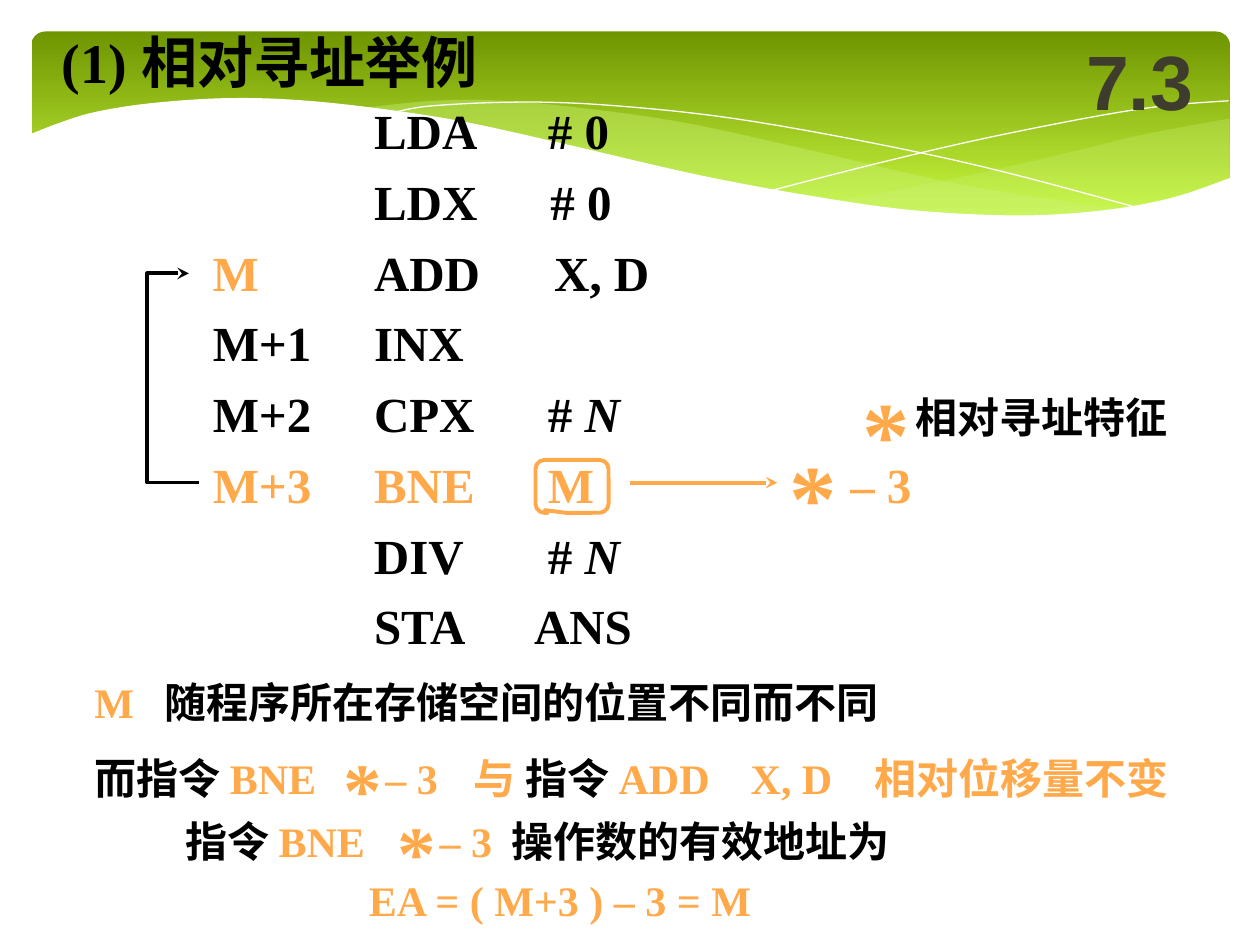
from lxml import etree
from pptx import Presentation
from pptx.dml.color import RGBColor
from pptx.enum.shapes import MSO_CONNECTOR, MSO_SHAPE
from pptx.enum.text import MSO_ANCHOR, MSO_AUTO_SIZE, PP_ALIGN
from pptx.oxml.ns import qn
from pptx.util import Inches, Pt

COLORS = {"black": "000000", "orange": "FFA94A", "white": "FFFFFF", "title": "3E3D2D",
          "dark_green": "6F9500", "lime": "D0FF44", "pale_green": "CAF278"}
SERIF = "Times New Roman"

PROGRAM = [
    ("", [("LDA\t# 0", "black")], 2.09, 1.38),
    ("", [("LDX\t# 0", "black")], 2.09, 1.4),
    ("M", [("ADD\tX, D", "black")], 2.38, 1.43),
    ("M+1", [("INX", "black")], 0.91, 1.38),
    ("M+2", [("CPX\t# ", "black"), ("N", "black", True)], 2.15, 1.38),
    ("M+3", [("BNE\tM", "orange")], 1.95, 1.38),
    ("", [("DIV\t# ", "black"), ("N", "black", True)], 2.16, 1.38),
    ("", [("STA\tANS", "black")], 2.31, 1.27),
]
WAVE_RIGHT = [
    [(9.76, 0.94), (9.06, 1.07), (8.61, 1.18), (7.79, 1.37), (7.06, 1.52), (6.61, 1.6)],
    [(6.61, 1.6), (7.18, 1.67), (7.81, 1.72), (8.35, 1.72), (8.89, 1.66), (9.35, 1.56),
     (9.76, 1.41)],
]
WAVE_MIDDLE = [
    [(8.93, 1.67), (8.07, 1.54), (7.41, 1.42), (6.29, 1.16), (5.41, 0.97), (4.64, 0.86),
     (3.99, 0.8), (3.44, 0.8), (2.86, 0.86)],
    [(2.86, 0.86), (3.62, 0.97), (4.49, 1.16), (5.66, 1.43), (6.5, 1.58), (7.22, 1.68),
     (7.85, 1.72), (8.38, 1.72), (8.93, 1.67)],
]
LINE_FALLING = [[(3.09, 0.9), (3.43, 0.84), (4.16, 0.81), (4.89, 0.84), (5.82, 0.94),
                 (6.95, 1.14), (7.95, 1.36), (9.07, 1.66)]]
LINE_RISING = [[(6.13, 1.51), (6.95, 1.3), (7.76, 1.11), (8.66, 0.93), (9.24, 0.84),
                (9.75, 0.8)]]
WHITE_CUT = [
    [(9.77, 1.41), (9.3, 1.57), (8.75, 1.67), (8.09, 1.71), (7.26, 1.67), (6.47, 1.56),
     (5.55, 1.39), (4.47, 1.14), (3.65, 0.96), (2.92, 0.85), (2.3, 0.79), (1.76, 0.78),
     (1.19, 0.82), (0.75, 0.89), (0.46, 0.98), (0.23, 1.07)],
    [(0.23, 2.24)], [(9.77, 2.24)],
]


def rgb(name):
    """Return the named colour."""
    return RGBColor.from_string(COLORS[name])


def spline(knots, steps=6):
    """Return points of a smooth curve through the knots."""
    ends = [knots[0]] + knots + [knots[-1]]
    pts = [knots[0]]
    for a, b, c, d in zip(ends, ends[1:], ends[2:], ends[3:]):
        for t in (k / steps for k in range(1, steps + 1)):
            pts.append(tuple(
                0.5 * (2 * q + (r - p) * t + (2 * p - 5 * q + 4 * r - v) * t ** 2
                       + (3 * q - p - 3 * r + v) * t ** 3)
                for p, q, r, v in zip(a, b, c, d)))
    return pts


def style(sp, fill=None, line=None, width=2.25, alpha=None):
    """Set the fill, outline and opacity of a shape."""
    sp.shadow.inherit = False
    if fill:
        sp.fill.solid()
        sp.fill.fore_color.rgb = rgb(fill)
    else:
        sp.fill.background()
    if alpha:
        clr = sp._element.spPr.find(qn("a:solidFill"))[0]
        etree.SubElement(clr, qn("a:alpha"), val=str(alpha * 1000))
    if line:
        sp.line.color.rgb = rgb(line)
        sp.line.width = Pt(width)
    else:
        sp.line.fill.background()


def add_outline(s, pts, closed=False, **look):
    """Draw a freeform through the points."""
    pts = [(Inches(x), Inches(y)) for x, y in pts]
    fb = s.shapes.build_freeform(*pts[0])
    fb.add_line_segments(pts[1:], close=closed)
    sp = fb.convert_to_shape()
    style(sp, **look)
    return sp


def add_curve(s, edges, **look):
    """Draw a freeform from smooth edges."""
    return add_outline(s, [pt for edge in edges for pt in spline(edge)], **look)


def add_arrowhead(sp):
    """Put a stealth arrowhead at the end of a line."""
    etree.SubElement(sp.line._get_or_add_ln(), qn("a:tailEnd"), type="stealth")


def set_font(r, size, color, name=SERIF, italic=None):
    """Format a run in bold."""
    f = r.font
    f.name, f.size, f.bold, f.italic = name, Pt(size), True, italic
    f.color.rgb = rgb(color)


def add_text(s, x, y, w, h, runs, size=24, stops=(), before=0, top=0.05, wrap=True):
    """Add a one-paragraph text box with optional tab stops."""
    tf = s.shapes.add_textbox(Inches(x), Inches(y), Inches(w), Inches(h)).text_frame
    tf.word_wrap = wrap
    tf.margin_top, tf.margin_right = Inches(top), 0
    p = tf.paragraphs[0]
    if before:
        p.space_before = Pt(before)
    if stops:
        tabs = etree.SubElement(p._p.get_or_add_pPr(), qn("a:tabLst"))
        for stop in stops:
            etree.SubElement(tabs, qn("a:tab"), pos=str(Inches(stop)), algn="l")
    for text, color, *italic in runs:
        r = p.add_run()
        r.text = text
        set_font(r, size, color, italic=True if italic else None)


def add_star(s, x, y, w, size):
    """Add an asterisk that stands for the program counter."""
    add_text(s, x, y, w, 1 if size > 50 else 0.84, [("*", "orange")], size,
             before=size * 0.625)


def add_offset(s, x, y, size=24):
    """Add the offset beside an asterisk."""
    add_text(s, x, y, 0.69, 0.61 if size > 24 else 0.54, [("– 3", "orange")], size, top=0.09)


def add_banner(s):
    """Draw the green banner with its waves."""
    sp = s.shapes.add_shape(MSO_SHAPE.ROUNDED_RECTANGLE, Inches(0.25), Inches(0.25),
                            Inches(9.51), Inches(1.56))
    sp.adjustments[0] = 0.07
    style(sp)
    sp.fill.gradient()
    sp.fill.gradient_angle = 270
    for stop, color, pos in zip(sp.fill.gradient_stops, ("dark_green", "lime"), (0, 1)):
        stop.color.rgb = rgb(color)
        stop.position = pos
    add_curve(s, WAVE_RIGHT, closed=True, fill="pale_green", alpha=29)
    add_curve(s, WAVE_MIDDLE, closed=True, fill="pale_green", alpha=40)
    for edges in (LINE_FALLING, LINE_RISING):
        add_curve(s, edges, line="white", width=0)
    add_curve(s, WHITE_CUT, closed=True, fill="white")


def add_title(s, text):
    """Format the title placeholder and bring it to the front."""
    sp = s.shapes.title
    sp.left, sp.top, sp.width, sp.height = map(Inches, (8.42, 0.17, 1.25, 0.92))
    tf = sp.text_frame
    tf.text = text
    tf.word_wrap, tf.auto_size = True, MSO_AUTO_SIZE.NONE
    tf.vertical_anchor = MSO_ANCHOR.MIDDLE
    p = tf.paragraphs[0]
    p.alignment = PP_ALIGN.CENTER
    set_font(p.runs[0], 44, "title", "Arial")
    s.shapes._spTree.append(sp._element)


def add_program(s):
    """Write the assembly listing with its loop arrow and operand."""
    for i, (label, code, width, stop) in enumerate(PROGRAM):
        y = 0.75 + 0.5614 * i
        add_text(s, 2.87, y, width, 0.57, code, 28, [stop])
        if label:
            color = "orange" if label in ("M", "M+3") else "black"
            add_text(s, 1.59, y, 0.56 if label == "M" else 0.98, 0.57, [(label, color)], 28,
                     wrap=False)
    add_arrowhead(add_outline(s, [(1.58, 3.83), (1.17, 3.83), (1.17, 2.17), (1.5, 2.17)],
                              line="black"))
    cn = s.shapes.add_connector(MSO_CONNECTOR.STRAIGHT, Inches(5), Inches(3.83),
                                Inches(6.17), Inches(3.83))
    cn.line.color.rgb = rgb("orange")
    cn.line.width = Pt(2.25)
    add_arrowhead(cn)
    etree.SubElement(cn._element.spPr, qn("a:effectLst"))
    sp = s.shapes.add_shape(MSO_SHAPE.ROUNDED_RECTANGULAR_CALLOUT, Inches(4.25),
                            Inches(3.65), Inches(0.58), Inches(0.42))
    for i, value in enumerate((-0.37, 0.45, 0.17)):
        sp.adjustments[i] = value
    style(sp, line="orange")


def add_notes_on_addressing(s):
    """Write the explanations of relative addressing."""
    add_offset(s, 6.65, 3.52, 28)
    add_star(s, 6.17, 3.42, 0.75, 54)
    add_text(s, 7.17, 3.06, 2.42, 0.5, [("相对寻址特征", "black")], before=15)
    add_star(s, 6.75, 2.92, 1.08, 54)
    add_text(s, 0.65, 5.32, 9.93, 0.5,
             [("M\t", "orange"), ("随程序所在存储空间的位置不同而不同", "black")], stops=[0.56])
    add_text(s, 0.65, 5.92, 9.93, 0.5,
             [("而指令 ", "black"), ("BNE\t与 ", "orange"), ("指令 ", "black"),
              ("ADD\tX, D\t相对位移量不变", "orange")], stops=[3.01, 5.21, 6.19])
    add_text(s, 1.37, 6.42, 1.71, 0.5, [("指令 ", "black"), ("BNE", "orange")], wrap=False)
    add_text(s, 3.96, 6.42, 3.2, 0.5, [("操作数的有效地址为", "black")], wrap=False)
    for x, y in ((2.63, 5.83), (3.06, 6.33)):
        add_offset(s, x + 0.33, y + 0.05)
        add_star(s, x, y, 0.75, 44)
    add_text(s, 2.83, 6.89, 3.25, 0.5, [("EA = ( M+3 ) – 3 = M", "orange")], wrap=False)


def main():
    """Build the slide on relative addressing."""
    prs = Presentation()
    prs.slide_width, prs.slide_height = Inches(10), Inches(7.5)
    s = prs.slides.add_slide(prs.slide_layouts[5])
    add_banner(s)
    add_text(s, 0.28, 0.17, 3.72, 0.64, [(" (1) 相对寻址举例", "black")], 32, wrap=False)
    add_program(s)
    add_notes_on_addressing(s)
    add_title(s, "7.3")
    prs.save("out.pptx")


if __name__ == "__main__":
    main()
